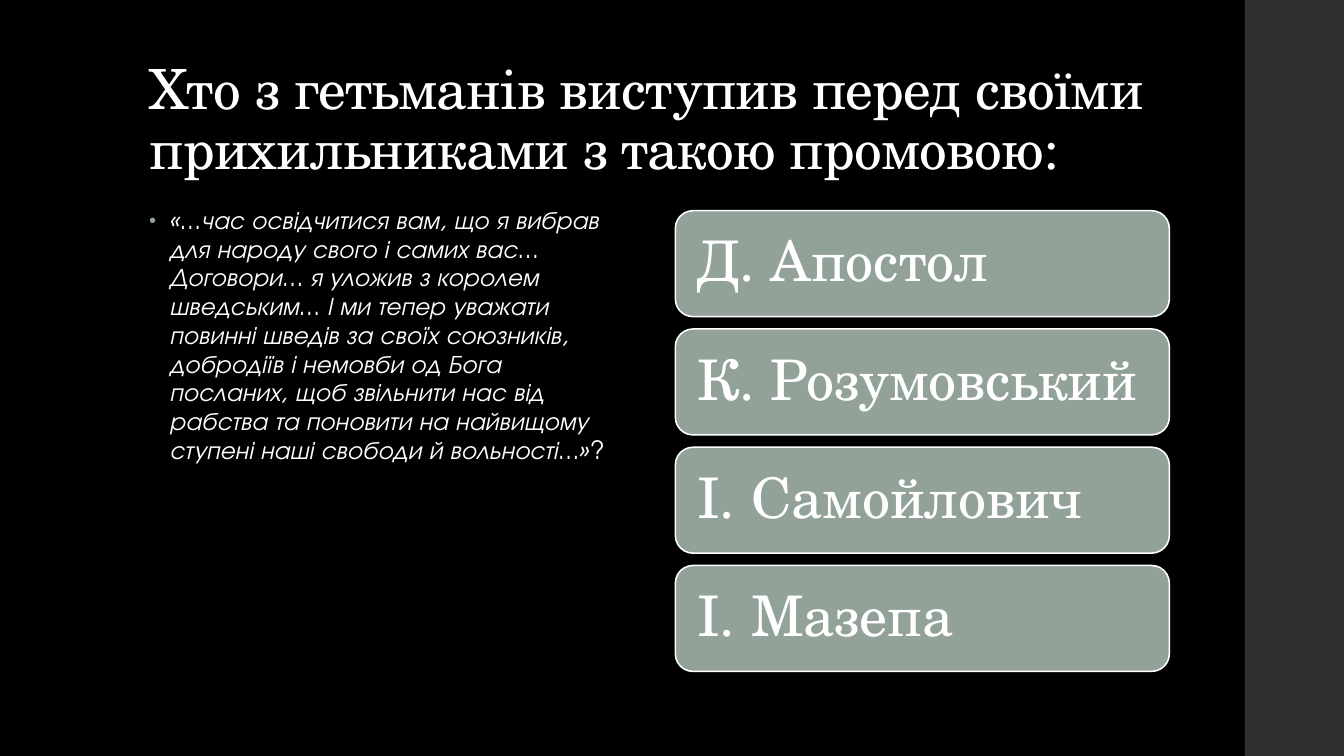
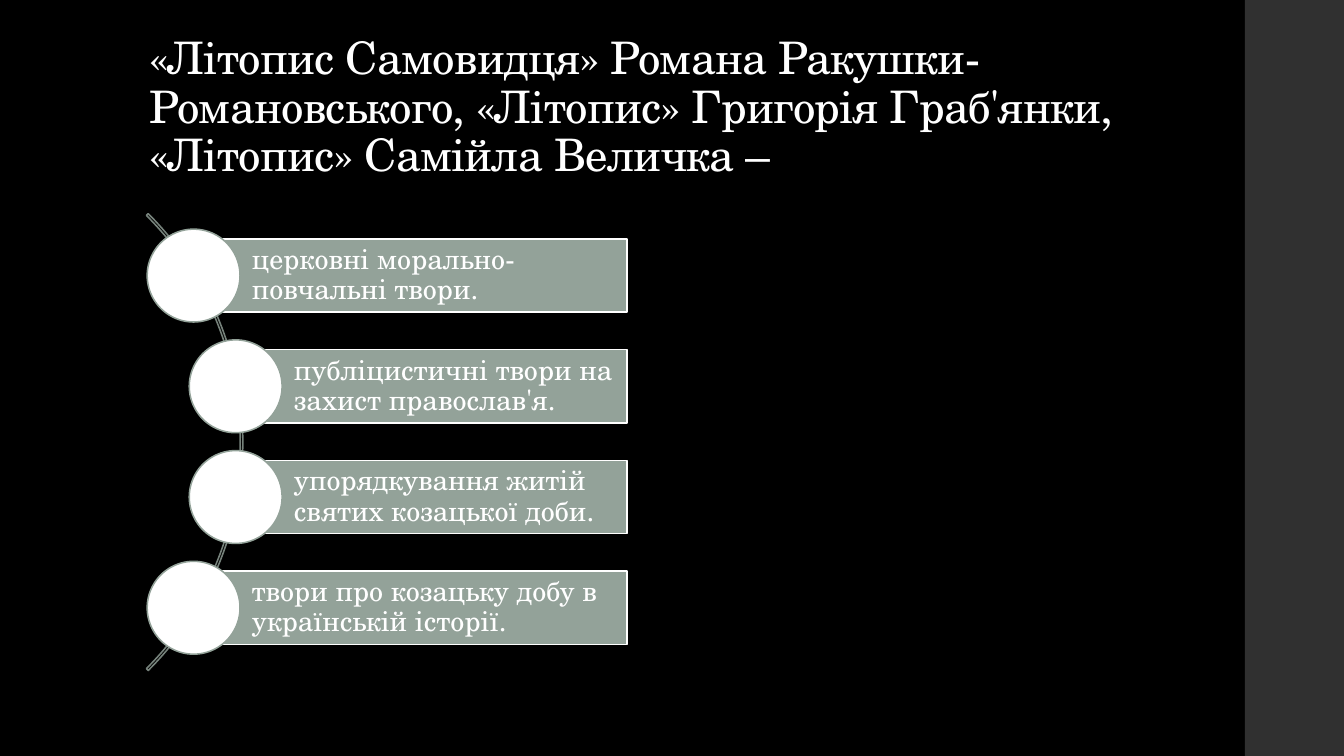
import pptx
import pptx.util
import pptx.dml.color
import pptx.enum.shapes
import pptx.enum.text
import pptx.oxml.ns
import lxml.etree

Cm = pptx.util.Cm
Pt = pptx.util.Pt
qn = pptx.oxml.ns.qn
SHAPES = pptx.enum.shapes.MSO_SHAPE
ANCHOR = pptx.enum.text.MSO_ANCHOR

BLACK, WHITE, SAGE, GREY, DARK = "000000", "FFFFFF", "93A299", "76827B", "303030"
SERIF, SANS = "TeX Gyre Schola", "TeX Gyre Adventor"


def color(code):
    return pptx.dml.color.RGBColor.from_string(code)


def write(box, texts, size, font, spacing, anchor, tracking=0):
    frame = box.text_frame
    frame.word_wrap = True
    frame.auto_size = pptx.enum.text.MSO_AUTO_SIZE.NONE
    frame.vertical_anchor = anchor
    para = frame.paragraphs[0]
    para.alignment = pptx.enum.text.PP_ALIGN.LEFT
    para.line_spacing = spacing
    for text in texts:
        span = para.add_run()
        span.text = text
        span.font.size = Pt(size)
        span.font.name = font
        span.font.color.rgb = color(WHITE)
    for properties in box.element.iter(qn("a:rPr")):
        properties.set("spc", str(tracking))
    return para


def add_shape(page, kind, left, top, width, height, fill, line):
    shape = page.shapes.add_shape(kind, Cm(left), Cm(top), Cm(width), Cm(height))
    shape.shadow.inherit = False
    if fill:
        shape.fill.solid()
        shape.fill.fore_color.rgb = color(fill)
    else:
        shape.fill.background()
    if line:
        shape.line.color.rgb = color(line)
        shape.line.width = Pt(1.1)
    else:
        shape.line.fill.background()
    return shape


deck = pptx.Presentation()
deck.slide_width, deck.slide_height = Cm(33.87), Cm(19.05)
layout = deck.slide_layouts[5]
layout.background.fill.solid()
layout.background.fill.fore_color.rgb = color(BLACK)

titles = [
    ("Хто з гетьманів виступив перед своїми прихильниками з такою промовою:", 39.6),
    ("«Літопис Самовидця» Романа Ракушки-Романовського, «Літопис» Григорія Граб'янки, "
     "«Літопис» Самійла Величка –", 32),
]
pages = []
for text, size in titles:
    page = deck.slides.add_slide(layout)
    title = page.shapes.title
    title.left, title.top, title.width, title.height = Cm(3.51), Cm(1.02), Cm(26.92), Cm(3.68)
    write(title, [text], size, SERIF, 0.9, ANCHOR.BOTTOM, -50)
    pages.append(page)
speech_page, chronicle_page = pages

band = add_shape(speech_page, SHAPES.RECTANGLE, 31.37, 0, 2.5, 19.05, DARK, None)
band.element.nvSpPr.cNvPr.set("id", "99")
layout.shapes.element.insert(2, band.element)

quote = speech_page.shapes.add_textbox(Cm(3.51), Cm(5.08), Cm(12.45), Cm(12.09))
speech = (
    "«…час освідчитися вам, що я вибрав для народу свого і самих вас… "
    "Договори… я уложив з королем шведським… І ми тепер уважати повинні шведів "
    "за своїх союзників, добродіїв і немовби од Бога посланих, щоб звільнити нас "
    "від рабства та поновити на найвищому ступені наші свободи й вольності…»"
)
para = write(quote, [speech, "?"], 18, SANS, 0.95, ANCHOR.TOP, 10)
para.runs[0].font.italic = True
for properties in quote.element.iter(qn("a:pPr")):
    properties.set("marL", str(Cm(0.51)))
    properties.set("indent", str(Cm(-0.51)))
    bullet_color = lxml.etree.SubElement(properties, qn("a:buClr"))
    lxml.etree.SubElement(bullet_color, qn("a:srgbClr")).set("val", SAGE)
    lxml.etree.SubElement(properties, qn("a:buSzPct")).set("val", "80000")
    lxml.etree.SubElement(properties, qn("a:buFont")).set("typeface", "Arial")
    lxml.etree.SubElement(properties, qn("a:buChar")).set("char", "•")

hetmans = ["Д. Апостол", "К. Розумовський", "І. Самойлович", "І. Мазепа"]
for row, hetman in enumerate(hetmans):
    card = add_shape(speech_page, SHAPES.ROUNDED_RECTANGLE, 17.02, 5.31 + row * 2.98,
                     12.45, 2.67, SAGE, WHITE)
    card.text_frame.margin_left = Cm(0.42)
    card.text_frame.margin_right = Cm(0.3)
    write(card, [hetman], 40, SERIF, 0.9, ANCHOR.MIDDLE)

arc = add_shape(chronicle_page, SHAPES.BLOCK_ARC, -10.16, 3, 16.28, 16.28, None, GREY)
for index, value in enumerate([189, 27, 0.004]):
    arc.adjustments[index] = value

answers = [
    ("церковні морально-повчальні твори.", 4.88),
    ("публіцистичні твори на захист православ'я.", 5.94),
    ("упорядкування житій святих козацької доби.", 5.94),
    ("твори про козацьку добу в українській історії.", 4.88),
]
bar_right, bar_height, diameter = 15.8, 1.85, 2.34
for row, (answer, left) in enumerate(answers):
    top = 6.02 + row * 2.79
    bar = add_shape(chronicle_page, SHAPES.RECTANGLE, left, top,
                    bar_right - left, bar_height, SAGE, WHITE)
    frame = bar.text_frame
    frame.margin_left = Cm(1.47)
    frame.margin_right = frame.margin_top = frame.margin_bottom = Cm(0.15)
    write(bar, [answer], 20, SERIF, 0.9, ANCHOR.MIDDLE)
    add_shape(chronicle_page, SHAPES.OVAL, left - diameter / 2,
              top + (bar_height - diameter) / 2, diameter, diameter, WHITE, SAGE)

deck.save("out.pptx")
